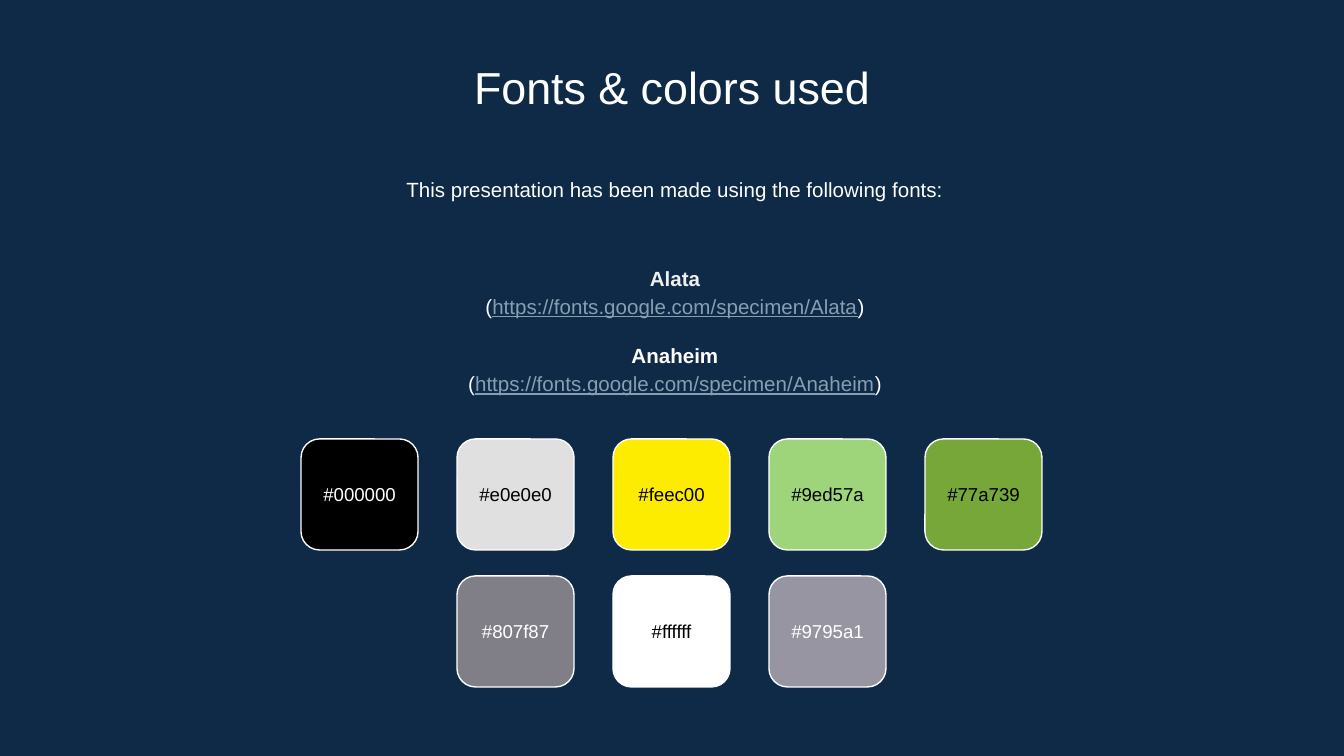
from pptx import Presentation
from pptx.dml.color import RGBColor
from pptx.enum.shapes import MSO_SHAPE
from pptx.enum.text import MSO_ANCHOR, PP_ALIGN
from pptx.util import Emu, Pt

PX = 914400 / 134.4
ROUNDED = MSO_SHAPE.ROUNDED_RECTANGLE
TOP, MIDDLE = MSO_ANCHOR.TOP, MSO_ANCHOR.MIDDLE
CENTER = PP_ALIGN.CENTER
FONT = "Arial"
NAVY, WHITE, BLACK, PALE, LINK = "0E2A47", "FFFFFF", "000000", "EFEFEF", "869FB2"

FONTS = [
    ("Alata", PALE, "https://fonts.google.com/specimen/Alata"),
    ("Anaheim", WHITE, "https://fonts.google.com/specimen/Anaheim"),
]
SWATCHES = [
    [("#000000", WHITE), ("#e0e0e0", BLACK), ("#feec00", BLACK),
     ("#9ed57a", BLACK), ("#77a739", BLACK)],
    [("#807f87", WHITE), ("#ffffff", BLACK), ("#9795a1", WHITE)],
]


def px(n):
    """Turn pixels into EMU."""
    return Emu(round(n * PX))


def rgb(color):
    """Turn a hex string into a colour."""
    return RGBColor.from_string(color.lstrip("#").upper())


def text_frame(s, box, anchor=TOP):
    """Add a wrapping text box and return its frame."""
    tf = s.shapes.add_textbox(*map(px, box)).text_frame
    tf.word_wrap = True
    tf.vertical_anchor = anchor
    tf.margin_left = tf.margin_right = tf.margin_top = tf.margin_bottom = px(13)
    return tf


def write(p, runs, size, bold=False, spacing=None):
    """Fill a centred paragraph with (text, colour) runs."""
    p.alignment = CENTER
    p.line_spacing = spacing
    p.font.name = FONT
    p.font.size = Pt(size)
    p.font.bold = bold
    for text, color in runs:
        r = p.add_run()
        r.text = text
        r.font.color.rgb = rgb(color)
        if color == LINK:
            r.font.underline = True


def add_line(s, box, text, size, color=WHITE, anchor=TOP, spacing=None):
    """Add a text box that holds one line."""
    tf = text_frame(s, box, anchor)
    write(tf.paragraphs[0], [(text, color)], size, spacing=spacing)


def add_fonts(s, box):
    """List each font name above its address."""
    tf = text_frame(s, box, MIDDLE)
    for i, (name, color, url) in enumerate(FONTS):
        p = tf.add_paragraph() if i else tf.paragraphs[0]
        if i:
            p.space_before = Pt(11)
        write(p, [(name, color)], 11, bold=True, spacing=1.15)
        write(tf.add_paragraph(), [("(", WHITE), (url, LINK), (")", WHITE)],
              11, spacing=1.15)


def add_swatch(s, box, code, color):
    """Draw one rounded colour tile with its code."""
    x, y, w, h = box
    sp = s.shapes.add_shape(ROUNDED, *map(px, box))
    sp.shadow.inherit = False
    sp.fill.solid()
    sp.fill.fore_color.rgb = rgb(code)
    sp.line.color.rgb = rgb(WHITE)
    sp.line.width = Pt(0.75)
    label_h = 64
    add_line(s, (x, y + (h - label_h) // 2, w, label_h), code, 10, color, MIDDLE)


def add_palette(s, box):
    """Centre each row of swatches in the box."""
    left, top, width, height = box
    w, h, gap = 117, 111, 39
    row_step = height - h
    for i, row in enumerate(SWATCHES):
        row_w = len(row) * (w + gap) - gap
        x = left + (width - row_w) // 2
        for j, (code, color) in enumerate(row):
            add_swatch(s, (x + j * (w + gap), top + i * row_step, w, h), code, color)


def main():
    """Build the slide and save it."""
    prs = Presentation()
    prs.slide_width, prs.slide_height = px(1344), px(756)
    s = prs.slides.add_slide(prs.slide_layouts[6])
    s.background.fill.solid()
    s.background.fill.fore_color.rgb = rgb(NAVY)
    add_line(s, (154, 47, 1036, 71), "Fonts & colors used", 24)
    add_line(s, (157, 160, 1036, 64),
             "This presentation has been made using the following fonts:",
             11, spacing=1.15)
    add_fonts(s, (157, 237, 1036, 184))
    add_palette(s, (301, 439, 741, 248))
    prs.save("out.pptx")


if __name__ == "__main__":
    main()
